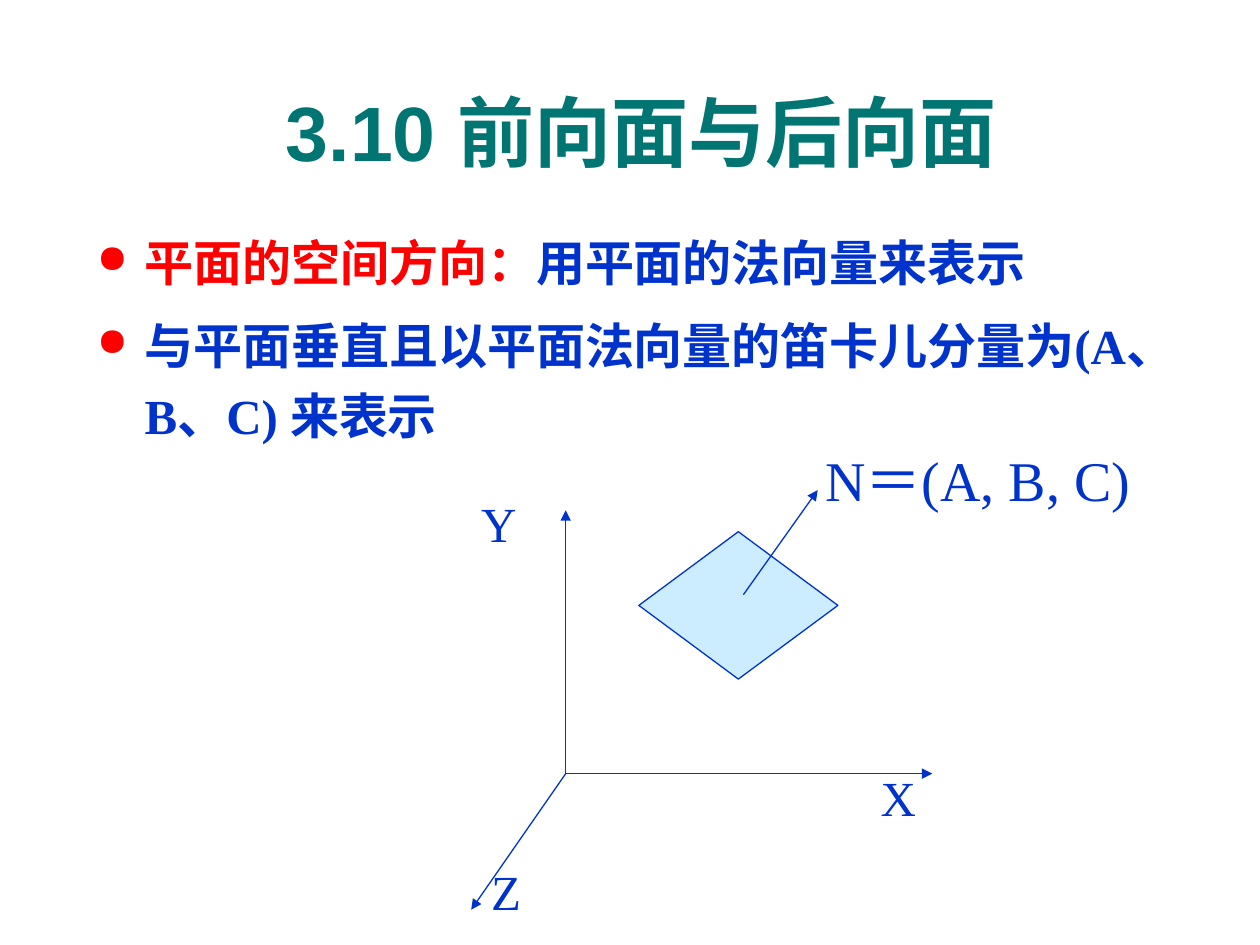
from lxml import etree
from pptx import Presentation
from pptx.dml.color import RGBColor
from pptx.enum import shapes, text
from pptx.oxml import ns
from pptx.util import Inches, Pt

COLORS = {"title": "007572", "ink": "0033CC", "accent": "FF0000", "plane": "CCECFF"}
SERIF = "Times New Roman"
ORIGIN = (4.49, 6.14)
ARROWS = [
    (ORIGIN, (7.4, 6.14)),
    (ORIGIN, (4.49, 4.05)),
    (ORIGIN, (3.74, 7.22)),
]
NORMAL = ((5.9, 4.72), (6.49, 3.89))
LABELS = [
    ("N＝(A, B, C)", (6.45, 3.49, 2.83, 0.64), 32),
    ("X", (6.89, 6.04, 0.48, 0.57), 28),
    ("Z", (3.8, 6.79, 0.44, 0.57), 28),
    ("Y", (3.72, 3.87, 0.48, 0.57), 28),
]
POINTS = [
    [("平面的空间方向：", "accent"), ("用平面的法向量来表示", "ink")],
    [("与平面垂直且以平面法向量的笛卡儿分量为(A、B、C) 来表示", "ink")],
]


def color(name):
    return RGBColor.from_string(COLORS[name])


def add_child(parent, tag, **attributes):
    return etree.SubElement(parent, ns.qn(tag), attributes)


def style_font(font, size, name, color_name, bold=False):
    font.size = Pt(size)
    font.name = name
    font.bold = bold
    font.color.rgb = color(color_name)


def add_box(slide, box, wrap=True):
    frame = slide.shapes.add_textbox(*map(Inches, box)).text_frame
    frame.word_wrap = wrap
    return frame


def add_title(slide, wording):
    frame = add_box(slide, (0.42, 0.47, 9.34, 0.98))
    frame.vertical_anchor = text.MSO_ANCHOR.MIDDLE
    frame.text = wording
    heading = frame.paragraphs[0]
    heading.alignment = text.PP_ALIGN.CENTER
    heading.line_spacing = 1.2
    style_font(heading.runs[0].font, 44, "Arial", "title", bold=True)


def set_bullet(paragraph):
    properties = paragraph._p.get_or_add_pPr()
    properties.set("marL", str(Inches(0.38)))
    properties.set("indent", str(-Inches(0.38)))
    add_child(add_child(properties, "a:buClr"), "a:srgbClr", val=COLORS["accent"])
    add_child(properties, "a:buSzPct", val="80000")
    add_child(properties, "a:buChar", char="●")


def add_points(slide, points):
    frame = add_box(slide, (0.67, 1.7, 8.92, 1.88))
    for index, parts in enumerate(points):
        point = frame.add_paragraph() if index else frame.paragraphs[0]
        set_bullet(point)
        point.line_spacing = 1.2
        if index:
            point.space_before = Pt(7)
        for wording, color_name in parts:
            run = point.add_run()
            run.text = wording
            style_font(run.font, 28, SERIF, color_name, bold=True)


def add_arrow(slide, start, end):
    arrow = slide.shapes.add_connector(
        shapes.MSO_CONNECTOR.STRAIGHT, *map(Inches, start + end))
    arrow.line.color.rgb = color("ink")
    arrow.line.width = Pt(0.75)
    add_child(arrow.line._get_or_add_ln(), "a:tailEnd", type="triangle")
    add_child(arrow._element.spPr, "a:effectLst")


def add_plane(slide):
    plane = slide.shapes.add_shape(
        shapes.MSO_SHAPE.DIAMOND, *map(Inches, (5.07, 4.22, 1.58, 1.17)))
    plane.shadow.inherit = False
    plane.fill.solid()
    plane.fill.fore_color.rgb = color("plane")
    plane.line.color.rgb = color("ink")
    plane.line.width = Pt(0.75)


def add_label(slide, wording, box, size):
    frame = add_box(slide, box, wrap=False)
    frame.auto_size = text.MSO_AUTO_SIZE.SHAPE_TO_FIT_TEXT
    frame.text = wording
    style_font(frame.paragraphs[0].runs[0].font, size, SERIF, "ink")


def main():
    presentation = Presentation()
    presentation.slide_width = Inches(10)
    presentation.slide_height = Inches(7.5)
    slide = presentation.slides.add_slide(presentation.slide_layouts[6])
    add_title(slide, "3.10 前向面与后向面")
    add_points(slide, POINTS)
    add_plane(slide)
    for start, end in ARROWS + [NORMAL]:
        add_arrow(slide, start, end)
    for wording, box, size in LABELS:
        add_label(slide, wording, box, size)
    presentation.save("out.pptx")


if __name__ == "__main__":
    main()
